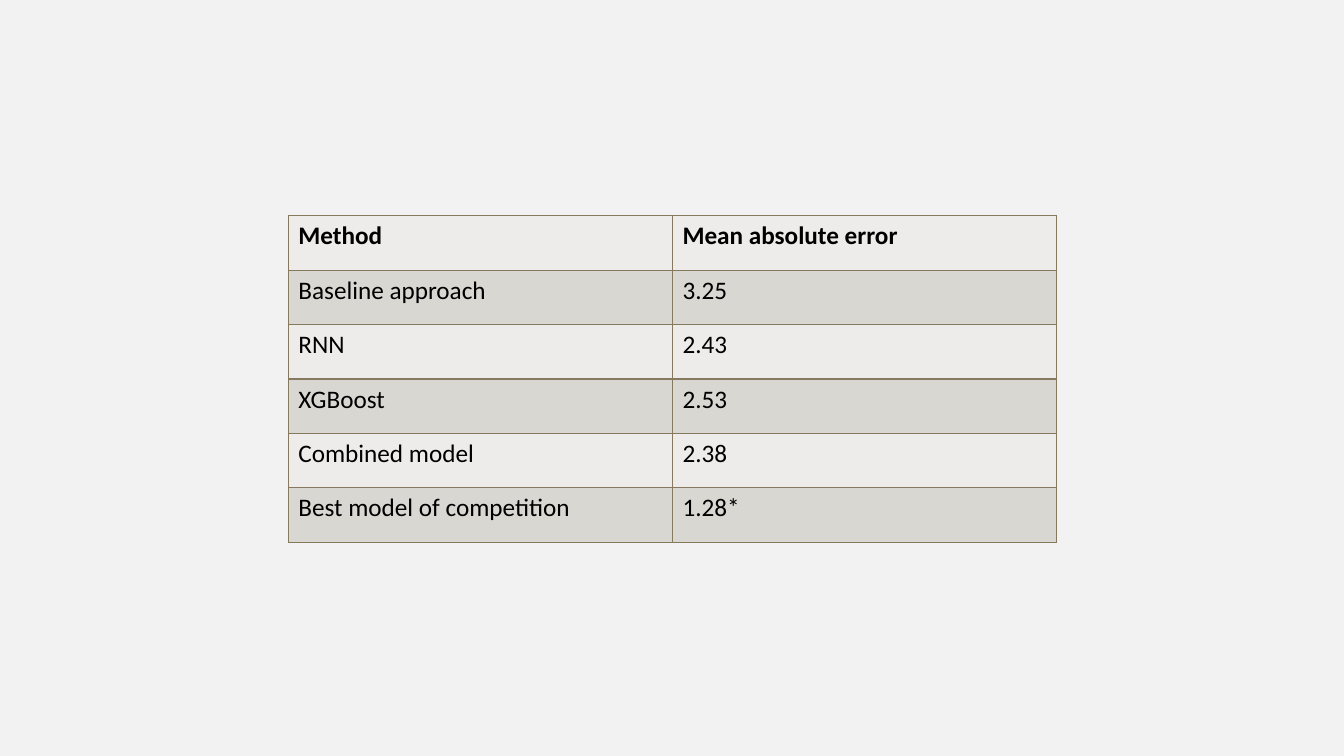
from dataclasses import dataclass

from lxml.etree import SubElement
from pptx import Presentation
from pptx.dml.color import RGBColor as Color
from pptx.oxml.ns import qn
from pptx.util import Inches, Pt


@dataclass(frozen=True)
class Theme:
    background: str = "F2F2F2"
    text: str = "000000"
    border: str = "87795D"
    bands: tuple = ("EDECEA", "D9D7D2")
    font: str = "Calibri"
    text_size: int = 18
    border_width: int = 1


RESULTS = [
    ("Method", "Mean absolute error"),
    ("Baseline approach", "3.25"),
    ("RNN", "2.43"),
    ("XGBoost", "2.53"),
    ("Combined model", "2.38"),
    ("Best model of competition", "1.28*"),
]


class SlideBuilder:
    def __init__(self, slide, theme):
        self.slide = slide
        self.theme = theme

    def background(self):
        fill = self.slide.background.fill
        fill.solid()
        fill.fore_color.rgb = Color.from_string(self.theme.background)

    def table(self, rows, left, top, column_width, row_height):
        """Add a table with equal columns and rows and a bold first row."""
        column_count = len(rows[0])
        frame = self.slide.shapes.add_table(
            len(rows), column_count, Inches(left), Inches(top),
            Inches(column_width * column_count), Inches(row_height * len(rows)))
        for row_index, texts in enumerate(rows):
            band = self.theme.bands[row_index % len(self.theme.bands)]
            for column_index, text in enumerate(texts):
                cell = frame.table.cell(row_index, column_index)
                self.cell(cell, text, band, bold=row_index == 0)

    def cell(self, cell, text, fill_color, bold):
        cell.text = text
        font = cell.text_frame.paragraphs[0].font
        font.name = self.theme.font
        font.size = Pt(self.theme.text_size)
        font.bold = bold
        font.color.rgb = Color.from_string(self.theme.text)
        self.cell_borders(cell)
        cell.fill.solid()
        cell.fill.fore_color.rgb = Color.from_string(fill_color)

    def cell_borders(self, cell):
        properties = cell._tc.get_or_add_tcPr()
        for side in ("a:lnL", "a:lnR", "a:lnT", "a:lnB"):
            line = SubElement(properties, qn(side), w=str(Pt(self.theme.border_width)))
            fill = SubElement(line, qn("a:solidFill"))
            SubElement(fill, qn("a:srgbClr"), val=self.theme.border)


def main():
    deck = Presentation()
    deck.slide_width = Inches(13.33)
    deck.slide_height = Inches(7.5)
    page = SlideBuilder(deck.slides.add_slide(deck.slide_layouts[6]), Theme())
    page.background()
    page.table(RESULTS, left=2.86, top=2.14, column_width=3.81, row_height=0.54)
    deck.save("out.pptx")


if __name__ == "__main__":
    main()
